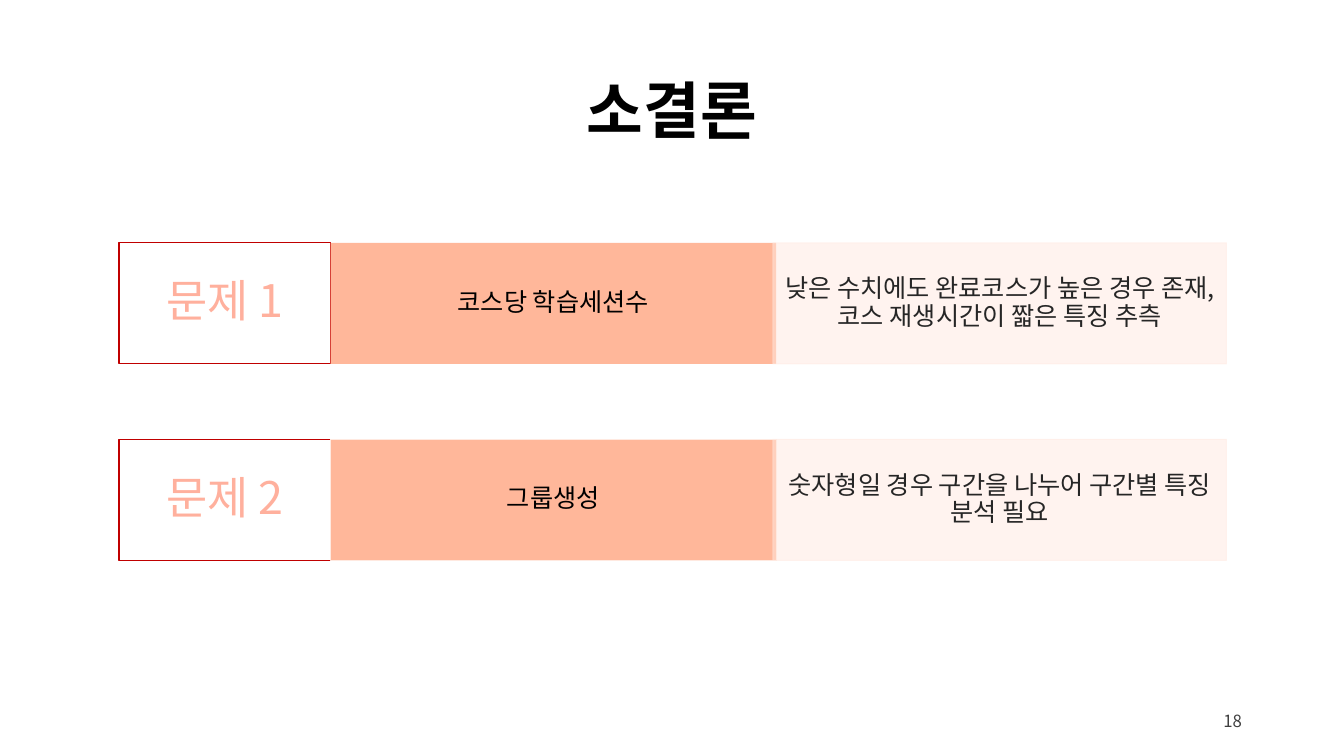
"""Build the interim conclusion slide with two problem rows."""
from lxml.etree import SubElement
from pptx import Presentation
from pptx.dml.color import RGBColor
from pptx.enum.shapes import MSO_SHAPE
from pptx.enum.text import MSO_ANCHOR, PP_ALIGN
from pptx.oxml.ns import qn
from pptx.util import Cm, Pt

FONT = "Noto Sans CJK KR"
COLORS = {
    "black": "000000",
    "body": "262626",
    "number": "404040",
    "label": "FFB09D",
    "red": "C00000",
    "orange": "FFB79A",
    "pale": "FFE9E0",
}
ROW_TOP, ROW_STEP, ROW_HEIGHT = 6.12, 4.95, 3.05
ROWS = [
    ("문제 1", "코스당 학습세션수", None,
     "낮은 수치에도 완료코스가 높은 경우 존재, 코스 재생시간이 짧은 특징 추측"),
    ("문제 2", "그룹생성", "pale",
     "숫자형일 경우 구간을 나누어 구간별 특징 분석 필요"),
]


def rgb(name):
    """Return the named colour."""
    return RGBColor.from_string(COLORS[name])


def write(sp, text, size, color, align=PP_ALIGN.CENTER, bold=False, spacing=0.9):
    """Write one formatted paragraph, centred vertically, into a shape."""
    tf = sp.text_frame
    tf.word_wrap = True
    tf.vertical_anchor = MSO_ANCHOR.MIDDLE
    p = tf.paragraphs[0]
    p.alignment = align
    p.line_spacing = spacing
    r = p.add_run()
    r.text = text
    r.font.size = Pt(size)
    r.font.bold = bold
    r.font.color.rgb = rgb(color)
    r.font.name = FONT
    SubElement(r.font._element, qn("a:ea"), typeface=FONT)


def place(sp, left, top, width, height):
    """Move and size a shape, in centimetres."""
    sp.left, sp.top, sp.width, sp.height = map(Cm, (left, top, width, height))


def add_box(s, left, top, width, fill=None, line=None, alpha=None):
    """Add a row rectangle with optional fill, outline and opacity percent."""
    sp = s.shapes.add_shape(
        MSO_SHAPE.RECTANGLE, Cm(left), Cm(top), Cm(width), Cm(ROW_HEIGHT))
    sp.shadow.inherit = False
    if fill:
        sp.fill.solid()
        sp.fill.fore_color.rgb = rgb(fill)
    else:
        sp.fill.background()
    if line:
        sp.line.color.rgb = rgb(line)
        sp.line.width = Pt(0.75)
    else:
        sp.line.fill.background()
    if alpha:
        for clr in sp._element.spPr.findall(".//" + qn("a:srgbClr")):
            SubElement(clr, qn("a:alpha"), val=str(alpha * 1000))
    return sp


def add_row(s, top, label, topic, topic_line, finding):
    """Add the label, topic and finding boxes of one row."""
    write(add_box(s, 3, top, 5.33, line="red"), label, 32, "label")
    sp = add_box(s, 8.33, top, 11.23, "orange", topic_line)
    tf = sp.text_frame
    tf.margin_left = tf.margin_right = tf.margin_top = tf.margin_bottom = 0
    write(sp, topic, 18, "black")
    write(add_box(s, 19.48, top, 11.43, "pale", "pale", 50), finding, 18, "body")


def add_title(s, text):
    """Fill and place the title placeholder."""
    sp = s.shapes.title
    place(sp, 2.33, 1.01, 29.21, 3.68)
    write(sp, text, 44, "black", bold=True)


def add_page_number(s, text):
    """Add the page number at the lower right."""
    sp = s.shapes.add_textbox(Cm(23.93), Cm(17.65), Cm(7.62), Cm(1.02))
    write(sp, text, 12, "number", PP_ALIGN.RIGHT, spacing=1.0)


def main():
    """Build and save the slide."""
    prs = Presentation()
    prs.slide_width, prs.slide_height = Cm(33.87), Cm(19.05)
    s = prs.slides.add_slide(prs.slide_layouts[5])
    add_title(s, "소결론")
    for i, row in enumerate(ROWS):
        add_row(s, ROW_TOP + i * ROW_STEP, *row)
    add_page_number(s, "18")
    prs.save("out.pptx")


if __name__ == "__main__":
    main()
